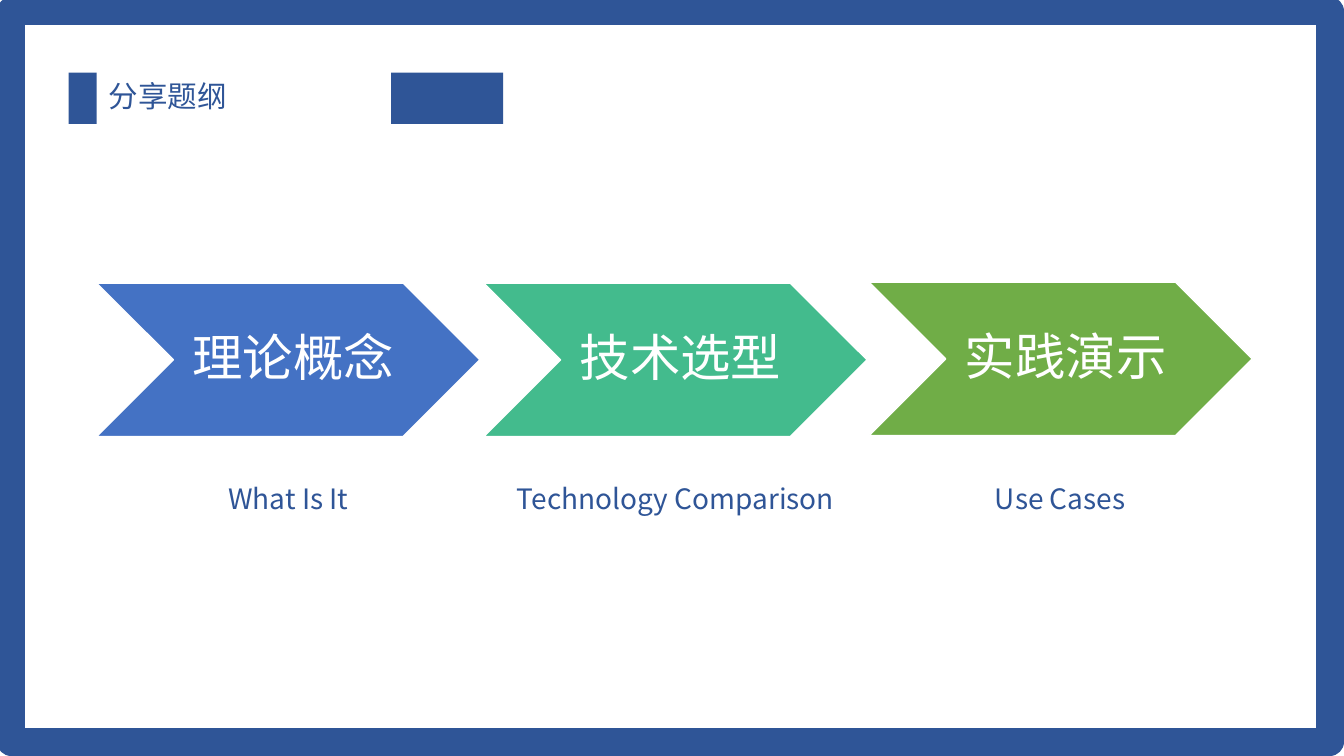
from pptx import Presentation
from pptx.dml.color import RGBColor
from pptx.enum import shapes, text
from pptx.oxml.ns import qn
from pptx.util import Inches, Pt

FONT = "Noto Sans CJK SC"
COLORS = {"navy": "2F5597", "blue": "4472C4", "teal": "43BB8D",
          "green": "70AD47", "white": "FFFFFF"}
TITLE = "分享题纲"
# heading, caption, colour, arrow left, arrow top, caption left, caption width
STEPS = [
    ("理论概念", "What Is It", "blue", 0.96, 2.81, 1.83, 2.06),
    ("技术选型", "Technology Comparison", "teal", 4.8, 2.81, 4.47, 4.46),
    ("实践演示", "Use Cases", "green", 8.62, 2.8, 9.37, 2.29),
]
TITLE_BARS = [(0.68, 0.28), (3.88, 1.11)]  # left, width
BAR_TOP, BAR_HEIGHT = 0.72, 0.51
ARROW_WIDTH, ARROW_HEIGHT = 3.8, 1.52
HEADING_OFFSET, HEADING_WIDTH, HEADING_HEIGHT = (0.87, 0.36), 2.16, 0.8
CAPTION_TOP, CAPTION_HEIGHT = 4.81, 0.39


def color(name):
    return RGBColor.from_string(COLORS[name])


def add_block(page, kind, area, fill=None, line=None, line_width=1):
    block = page.shapes.add_shape(kind, *map(Inches, area))
    block.shadow.inherit = False
    if fill:
        block.fill.solid()
        block.fill.fore_color.rgb = color(fill)
    else:
        block.fill.background()
    if line:
        block.line.color.rgb = color(line)
        block.line.width = Pt(line_width)
    else:
        block.line.fill.background()
    return block


def write(box, words, size, ink, inset=0.05, before=0,
          anchor=text.MSO_ANCHOR.MIDDLE, align=text.PP_ALIGN.CENTER):
    frame = box.text_frame
    frame.text = words
    frame.word_wrap = True
    frame.auto_size = text.MSO_AUTO_SIZE.NONE
    frame.vertical_anchor = anchor
    frame.margin_left = frame.margin_right = Inches(inset)
    frame.margin_top = frame.margin_bottom = Inches(inset)
    para = frame.paragraphs[0]
    para.alignment = align
    para.line_spacing = 0.9
    para.space_before = Pt(before)
    font = para.runs[0].font
    font.name = FONT
    font.size = Pt(size)
    font.color.rgb = color(ink)
    east_asian = font._element.makeelement(qn("a:ea"), {"typeface": FONT})
    font._element.find(qn("a:latin")).addnext(east_asian)


def add_step(page, heading, caption, fill, left, top, caption_left, caption_width):
    arrow = add_block(page, shapes.MSO_SHAPE.CHEVRON,
                      (left, top, ARROW_WIDTH, ARROW_HEIGHT), fill, "white")
    arrow.adjustments[0] = 0.5
    dx, dy = HEADING_OFFSET
    heading_area = (left + dx, top + dy, HEADING_WIDTH, HEADING_HEIGHT)
    box = page.shapes.add_textbox(*map(Inches, heading_area))
    write(box, heading, 36, "white", before=15)
    caption_area = (caption_left, CAPTION_TOP, caption_width, CAPTION_HEIGHT)
    box = page.shapes.add_textbox(*map(Inches, caption_area))
    write(box, caption, 20, "navy", inset=0, before=5, anchor=text.MSO_ANCHOR.TOP)


def main():
    deck = Presentation()
    deck.slide_width, deck.slide_height = Inches(13.33), Inches(7.5)
    page = deck.slides.add_slide(deck.slide_layouts[5])

    rectangle = shapes.MSO_SHAPE.RECTANGLE
    for left, width in TITLE_BARS:
        add_block(page, rectangle, (left, BAR_TOP, width, BAR_HEIGHT), "navy")
    add_block(page, rectangle, (0.11, 0.11, 13.08, 7.25), line="navy", line_width=20)

    for step in STEPS:
        add_step(page, *step)

    title = page.shapes.title
    title.left, title.top = Inches(1.03), Inches(BAR_TOP)
    title.width, title.height = Inches(2.78), Inches(BAR_HEIGHT)
    write(title, TITLE, 21.1, "navy", align=text.PP_ALIGN.JUSTIFY)

    deck.save("out.pptx")


if __name__ == "__main__":
    main()
